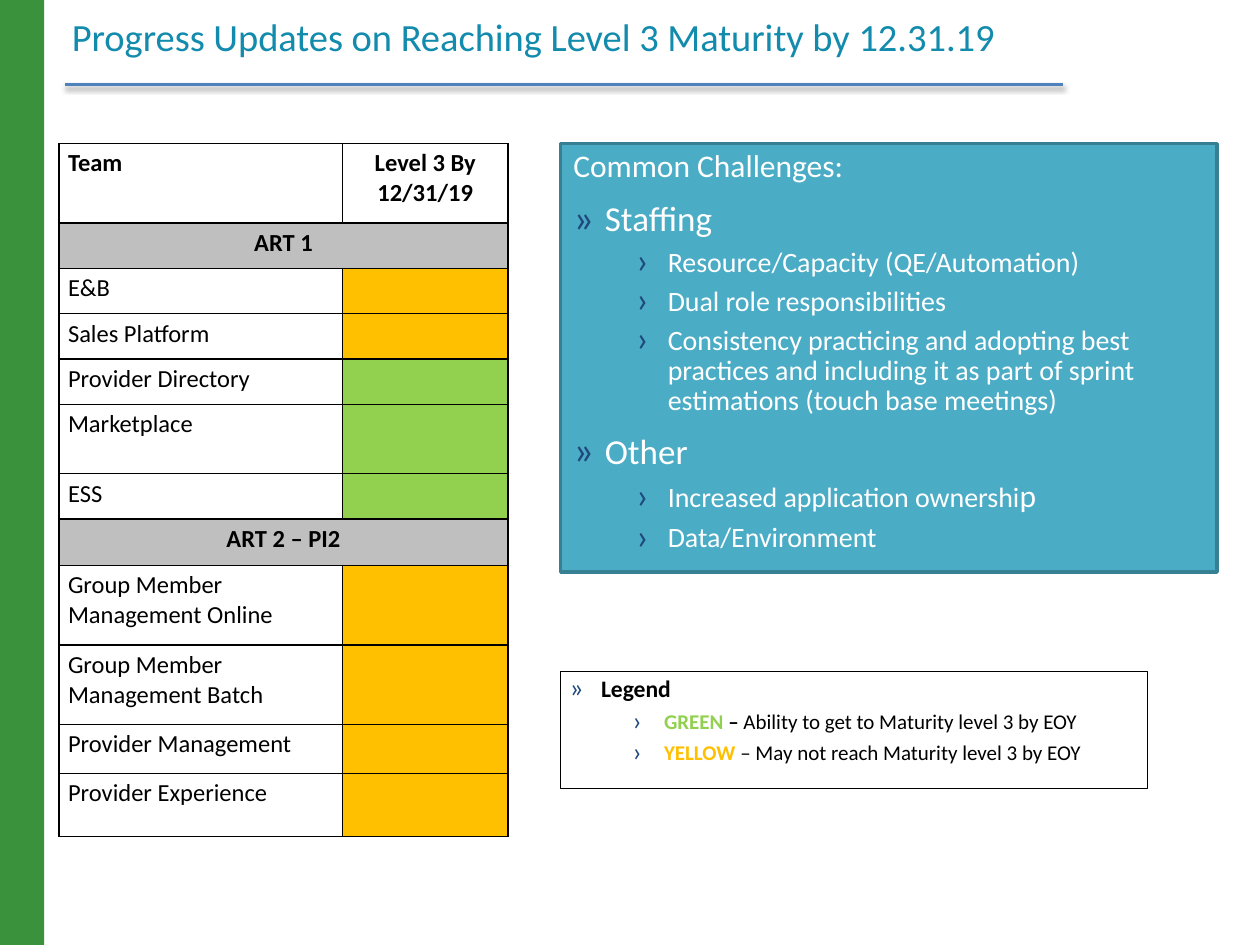
from lxml.etree import SubElement
from pptx import Presentation
from pptx.dml.color import RGBColor
from pptx.enum.shapes import MSO_CONNECTOR as Connector, MSO_SHAPE as Shape
from pptx.enum.text import MSO_ANCHOR as Anchor, MSO_AUTO_SIZE as AutoSize, PP_ALIGN as Align
from pptx.oxml import parse_xml
from pptx.oxml.ns import nsdecls, qn
from pptx.util import Inches, Pt

BLACK, WHITE, GREY = "000000", "FFFFFF", "BFBFBF"
GREEN, YELLOW = "92D050", "FFC000"
BULLETS = [("»", 115000, 0.25, 10), ("›", 130000, 0.75, 5)]

TEAM_ROWS = [
    ("ART 1", None, 0.36),
    ("E&B", YELLOW, 0.36),
    ("Sales Platform", YELLOW, 0.36),
    ("Provider Directory", GREEN, 0.36),
    ("Marketplace", GREEN, 0.55),
    ("ESS", GREEN, 0.36),
    ("ART 2 – PI2", None, 0.37),
    ("Group Member Management Online", YELLOW, 0.63),
    ("Group Member Management Batch", YELLOW, 0.63),
    ("Provider Management", YELLOW, 0.39),
    ("Provider Experience", YELLOW, 0.5),
]

CHALLENGES = [
    (None, [("Common Challenges:", dict(size=18))]),
    (0, [("Staffing", dict(size=20))]),
    (1, [("Resource/Capacity (QE/Automation)", dict(size=16))]),
    (1, [("Dual role responsibilities", dict(size=16))]),
    (1, [("Consistency practicing and adopting best practices and including it "
          "as part of sprint estimations (touch base meetings)", dict(size=16))]),
    (0, [("Other", dict(size=20))]),
    (1, [("Increased application ownershi", dict(size=16)), ("p", dict(size=18))]),
    (1, [("Data/Environment", dict(size=16))]),
]

LEGEND = [
    (0, [("Legend", dict(size=13.5, bold=True))]),
    (1, [("GREEN", dict(size=12, bold=True, color=GREEN)),
         (" – ", dict(size=12, bold=True)),
         ("Ability to get to Maturity level 3 by EOY", dict(size=12))]),
    (1, [("YELLOW", dict(size=12, bold=True, color=YELLOW)),
         (" – May not reach Maturity level 3 by EOY", dict(size=12))]),
]


def rgb(value):
    return RGBColor.from_string(value)


def add_text(paragraph, text, size=14, color=BLACK, bold=False, align=Align.LEFT):
    paragraph.alignment = align
    run = paragraph.add_run()
    run.text = text
    run.font.name = "Calibri"
    run.font.size = Pt(size)
    run.font.bold = bold
    run.font.color.rgb = rgb(color)


def place(shape, left, top, width, height):
    shape.left, shape.top = Inches(left), Inches(top)
    shape.width, shape.height = Inches(width), Inches(height)


def set_margins(holder, side, edge):
    holder.margin_left = holder.margin_right = Inches(side)
    holder.margin_top = holder.margin_bottom = Inches(edge)


def set_bullet(paragraph, level):
    properties = paragraph._p.get_or_add_pPr()
    if level is None:
        properties.set("marL", "0")
        properties.set("indent", "0")
        SubElement(properties, qn("a:buNone"))
        return
    mark, percent, indent, _ = BULLETS[level]
    paragraph.level = level
    properties.set("marL", str(Inches(indent)))
    properties.set("indent", str(Inches(-0.25)))
    bullet_color = SubElement(properties, qn("a:buClr"))
    SubElement(bullet_color, qn("a:srgbClr"), val="1F497D")
    SubElement(properties, qn("a:buSzPct"), val=str(percent))
    SubElement(properties, qn("a:buFont"), typeface="Calibri")
    SubElement(properties, qn("a:buChar"), char=mark)


def fill_list(panel, items, color, margins):
    frame = panel.text_frame
    frame.word_wrap = True
    frame.auto_size = AutoSize.NONE
    frame.vertical_anchor = Anchor.TOP
    set_margins(frame, *margins)
    for index, (level, runs) in enumerate(items):
        paragraph = frame.add_paragraph() if index else frame.paragraphs[0]
        set_bullet(paragraph, level)
        paragraph.line_spacing = 0.9
        paragraph.space_before = Pt(BULLETS[level or 0][3] if index else 0)
        paragraph.space_after = Pt(0)
        for text, style in runs:
            add_text(paragraph, text, **{"color": color, **style})


def outline(shape, color, width):
    shape.line.color.rgb = rgb(color)
    shape.line.width = Pt(width)


def add_side_bar(slide):
    bar = slide.shapes.add_shape(Shape.RECTANGLE, 0, 0, Inches(0.35), Inches(7.5))
    bar.shadow.inherit = False
    bar.fill.solid()
    bar.fill.fore_color.rgb = rgb("3A923D")
    bar.line.fill.background()


def add_title_rule(slide):
    rule = slide.shapes.add_connector(
        Connector.STRAIGHT, Inches(0.52), Inches(0.67), Inches(8.44), Inches(0.67))
    outline(rule, "4F81BD", 2)
    rule._element.spPr.append(parse_xml(
        f'<a:effectLst {nsdecls("a")}><a:outerShdw blurRad="{Pt(3.1)}" dist="{Pt(1.6)}" '
        'dir="5400000" rotWithShape="0"><a:srgbClr val="000000"><a:alpha val="38000"/>'
        '</a:srgbClr></a:outerShdw></a:effectLst>'))


def style_cell(cell, fill, edge=0.04):
    set_margins(cell, 0.07, edge)
    properties = cell._tc.get_or_add_tcPr()
    for side in ("lnL", "lnR", "lnT", "lnB"):
        border = SubElement(properties, qn(f"a:{side}"), w=str(Pt(1)))
        SubElement(SubElement(border, qn("a:solidFill")), qn("a:srgbClr"), val=BLACK)
    cell.fill.solid()
    cell.fill.fore_color.rgb = rgb(fill)


def add_team_table(slide):
    heights = [0.63] + [height for _, _, height in TEAM_ROWS]
    table = slide.shapes.add_table(
        len(heights), 2, Inches(0.47), Inches(1.14),
        Inches(3.56), Inches(sum(heights))).table
    for column, width in zip(table.columns, (2.25, 1.31)):
        column.width = Inches(width)
    for row, height in zip(table.rows, heights):
        row.height = Inches(height)
    headings = [("Team", Align.LEFT), ("Level 3 By 12/31/19", Align.CENTER)]
    for column, (heading, align) in enumerate(headings):
        cell = table.cell(0, column)
        style_cell(cell, WHITE)
        add_text(cell.text_frame.paragraphs[0], heading, bold=True, align=align)
    for row, (name, status, _) in enumerate(TEAM_ROWS, start=1):
        team, level = table.cell(row, 0), table.cell(row, 1)
        is_group = status is None
        style_cell(team, GREY if is_group else WHITE)
        style_cell(level, status or GREY, edge=0)
        if is_group:
            team.merge(level)
        add_text(team.text_frame.paragraphs[0], name, bold=is_group,
                 align=Align.CENTER if is_group else Align.LEFT)


def format_title(title):
    place(title, 0.47, 0.11, 8.72, 0.41)
    title.text_frame.auto_size = AutoSize.NONE
    title.text_frame.vertical_anchor = Anchor.BOTTOM
    add_text(title.text_frame.paragraphs[0],
             "Progress Updates on Reaching Level 3 Maturity by 12.31.19",
             size=22, color="128BAD")


def main():
    deck = Presentation()
    deck.slide_width, deck.slide_height = Inches(10), Inches(7.5)
    slide = deck.slides.add_slide(deck.slide_layouts[3])
    title, challenges, legend = slide.placeholders

    add_side_bar(slide)
    add_title_rule(slide)
    format_title(title)
    add_team_table(slide)

    place(challenges, 4.45, 1.14, 5.21, 3.4)
    challenges.fill.solid()
    challenges.fill.fore_color.rgb = rgb("4BACC6")
    outline(challenges, "377F92", 2)
    fill_list(challenges, CHALLENGES, WHITE, (0.1, 0.05))

    place(legend, 4.45, 5.33, 4.66, 0.93)
    outline(legend, BLACK, 0.75)
    fill_list(legend, LEGEND, BLACK, (0.07, 0.04))

    deck.save("out.pptx")


if __name__ == "__main__":
    main()
